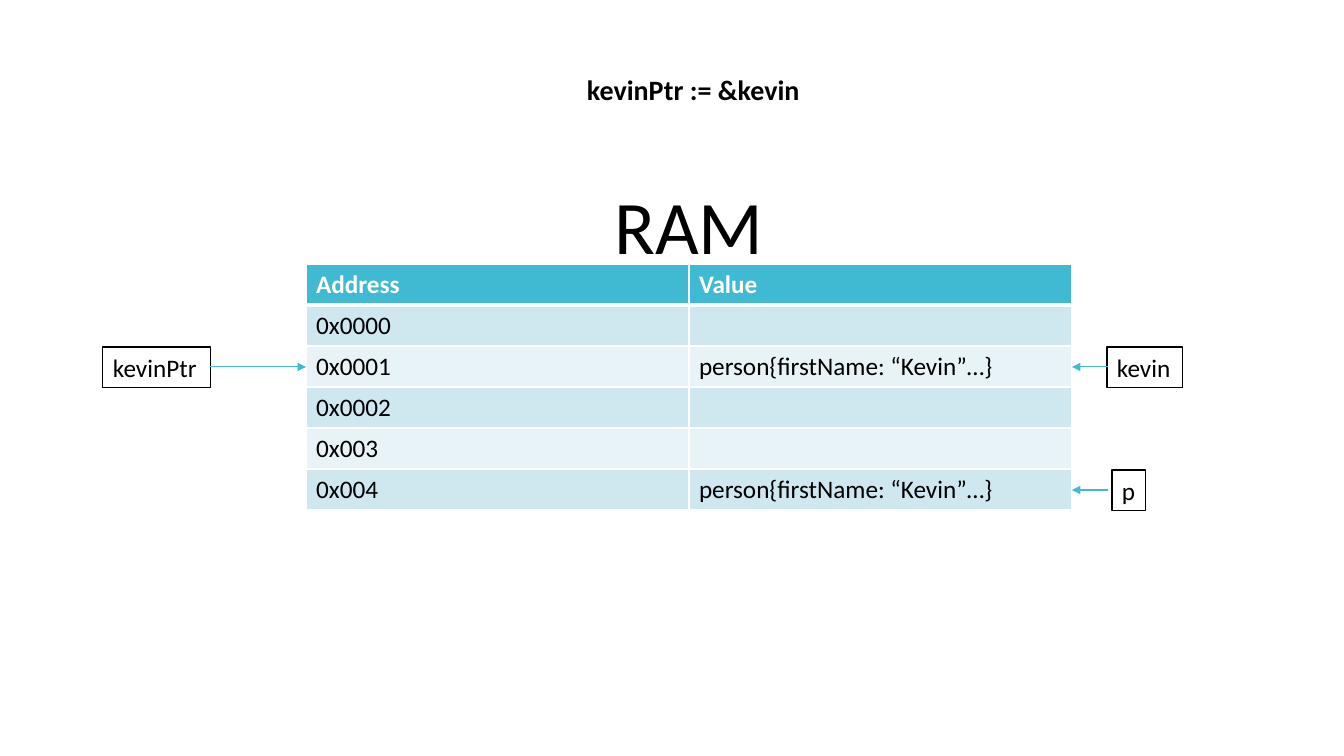
from dataclasses import dataclass
from typing import Any

from lxml.etree import SubElement
from pptx import Presentation
from pptx.dml.color import RGBColor
from pptx.enum.shapes import MSO_CONNECTOR as Connector
from pptx.enum.text import MSO_ANCHOR as Anchor
from pptx.enum.text import MSO_AUTO_SIZE as AutoSize
from pptx.enum.text import PP_ALIGN as Align
from pptx.oxml.ns import qn
from pptx.util import Pt

EMU_PER_PIXEL = 914400 / 100.8
SLIDE_WIDTH, SLIDE_HEIGHT = 1344, 756

BLACK = RGBColor(0x00, 0x00, 0x00)
WHITE = RGBColor(0xFF, 0xFF, 0xFF)
TEAL = RGBColor(0x40, 0xBA, 0xD2)
BAND_COLORS = (RGBColor(0xCF, 0xE7, 0xEE), RGBColor(0xE8, 0xF3, 0xF7))

TABLE_LEFT, TABLE_TOP = 306, 264
COLUMN_WIDTH, ROW_HEIGHT = 383, 41
TABLE_RIGHT = TABLE_LEFT + 2 * COLUMN_WIDTH
PERSON = "person{firstName: “Kevin”…}"
MEMORY_ROWS = (
    ("Address", "Value"),
    ("0x0000", ""),
    ("0x0001", PERSON),
    ("0x0002", ""),
    ("0x003", ""),
    ("0x004", PERSON),
)
FRAME_FORMAT = {
    "word_wrap": False,
    "auto_size": AutoSize.SHAPE_TO_FIT_TEXT,
    "vertical_anchor": Anchor.TOP,
}


@dataclass(frozen=True)
class Label:
    """A text box, with or without an outline."""

    text: str
    left: int
    top: int
    width: int
    height: int
    size: int = 18
    bold: bool = False
    align: Align = Align.LEFT
    outlined: bool = False


@dataclass(frozen=True)
class Variable:
    """A named box with an arrow to a row of the memory table."""

    name: str
    left: int
    width: int
    row: int
    arrow_start: int
    arrow_end: int


HEADINGS = (
    Label("RAM", 601, 174, 176, 102, size=54, align=Align.CENTER),
    Label("kevinPtr := &kevin", 577, 68, 243, 44, size=20, bold=True),
)
VARIABLES = (
    Variable("kevinPtr", 103, 108, 2, 210, TABLE_LEFT),
    Variable("kevin", 1107, 76, 2, 1108, TABLE_RIGHT),
    Variable("p", 1112, 34, 5, 1108, TABLE_RIGHT),
)


def px(pixels: int) -> int:
    """Turn pixels into EMU."""
    return round(pixels * EMU_PER_PIXEL)


def apply_format(target: Any, values: dict[str, Any]) -> None:
    """Set each named attribute on the target."""
    for name, value in values.items():
        setattr(target, name, value)


def write_text(paragraph: Any, text: str, size: int, color: RGBColor, bold: bool) -> None:
    """Add one formatted run to a paragraph."""
    font_format = {"name": "Calibri", "size": Pt(size), "bold": bold}
    run = paragraph.add_run()
    run.text = text
    apply_format(run.font, font_format)
    run.font.color.rgb = color


def draw_label(slide: Any, label: Label) -> None:
    """Draw a text box that fits its text."""
    box = (label.left, label.top, label.width, label.height)
    shape = slide.shapes.add_textbox(*map(px, box))
    apply_format(shape.text_frame, FRAME_FORMAT)
    paragraph = shape.text_frame.paragraphs[0]
    paragraph.alignment = label.align
    write_text(paragraph, label.text, label.size, BLACK, label.bold)
    if label.outlined:
        shape.line.color.rgb = BLACK
        shape.line.width = Pt(0.75)


def draw_arrow(slide: Any, start: int, end: int, y: int) -> None:
    """Draw a level arrow with its head at the end."""
    points = map(px, (start, y, end, y))
    arrow = slide.shapes.add_connector(Connector.STRAIGHT, *points)
    arrow.line.color.rgb = TEAL
    arrow.line.width = Pt(0.75)
    properties = arrow.element.spPr
    SubElement(properties.find(qn("a:ln")), qn("a:tailEnd"), type="triangle")
    SubElement(properties, qn("a:effectLst"))


def draw_variable(slide: Any, variable: Variable) -> None:
    """Draw a variable's box and its arrow, level with its row."""
    row_top = TABLE_TOP + variable.row * ROW_HEIGHT
    box = (variable.left, row_top + 1, variable.width, ROW_HEIGHT)
    draw_label(slide, Label(variable.name, *box, outlined=True))
    middle = row_top + ROW_HEIGHT // 2 + 1
    draw_arrow(slide, variable.arrow_start, variable.arrow_end, middle)


def set_borders(cell: Any, row_index: int) -> None:
    """Give a cell white borders, thick below the header."""
    thick_side = {0: "lnB", 1: "lnT"}.get(row_index)
    properties = cell._tc.get_or_add_tcPr()
    for side in ("lnL", "lnR", "lnT", "lnB"):
        width = Pt(3 if side == thick_side else 1)
        border = SubElement(properties, qn(f"a:{side}"), w=str(width))
        fill = SubElement(border, qn("a:solidFill"))
        SubElement(fill, qn("a:srgbClr"), val=str(WHITE))


def draw_memory_table(slide: Any) -> None:
    """Draw the table of addresses and values."""
    row_count, column_count = len(MEMORY_ROWS), len(MEMORY_ROWS[0])
    box = (TABLE_LEFT, TABLE_TOP, column_count * COLUMN_WIDTH, row_count * ROW_HEIGHT)
    table = slide.shapes.add_table(row_count, column_count, *map(px, box)).table
    for row_index, texts in enumerate(MEMORY_ROWS):
        is_header = row_index == 0
        fill_color = TEAL if is_header else BAND_COLORS[(row_index - 1) % 2]
        text_color = WHITE if is_header else BLACK
        for column_index, text in enumerate(texts):
            cell = table.cell(row_index, column_index)
            set_borders(cell, row_index)
            cell.fill.solid()
            cell.fill.fore_color.rgb = fill_color
            if text:
                paragraph = cell.text_frame.paragraphs[0]
                write_text(paragraph, text, 18, text_color, is_header)


def main() -> None:
    """Build the slide and save it."""
    presentation = Presentation()
    size = {"slide_width": px(SLIDE_WIDTH), "slide_height": px(SLIDE_HEIGHT)}
    apply_format(presentation, size)
    slide = presentation.slides.add_slide(presentation.slide_layouts[6])
    draw_memory_table(slide)
    for heading in HEADINGS:
        draw_label(slide, heading)
    for variable in VARIABLES:
        draw_variable(slide, variable)
    presentation.save("out.pptx")


main()
